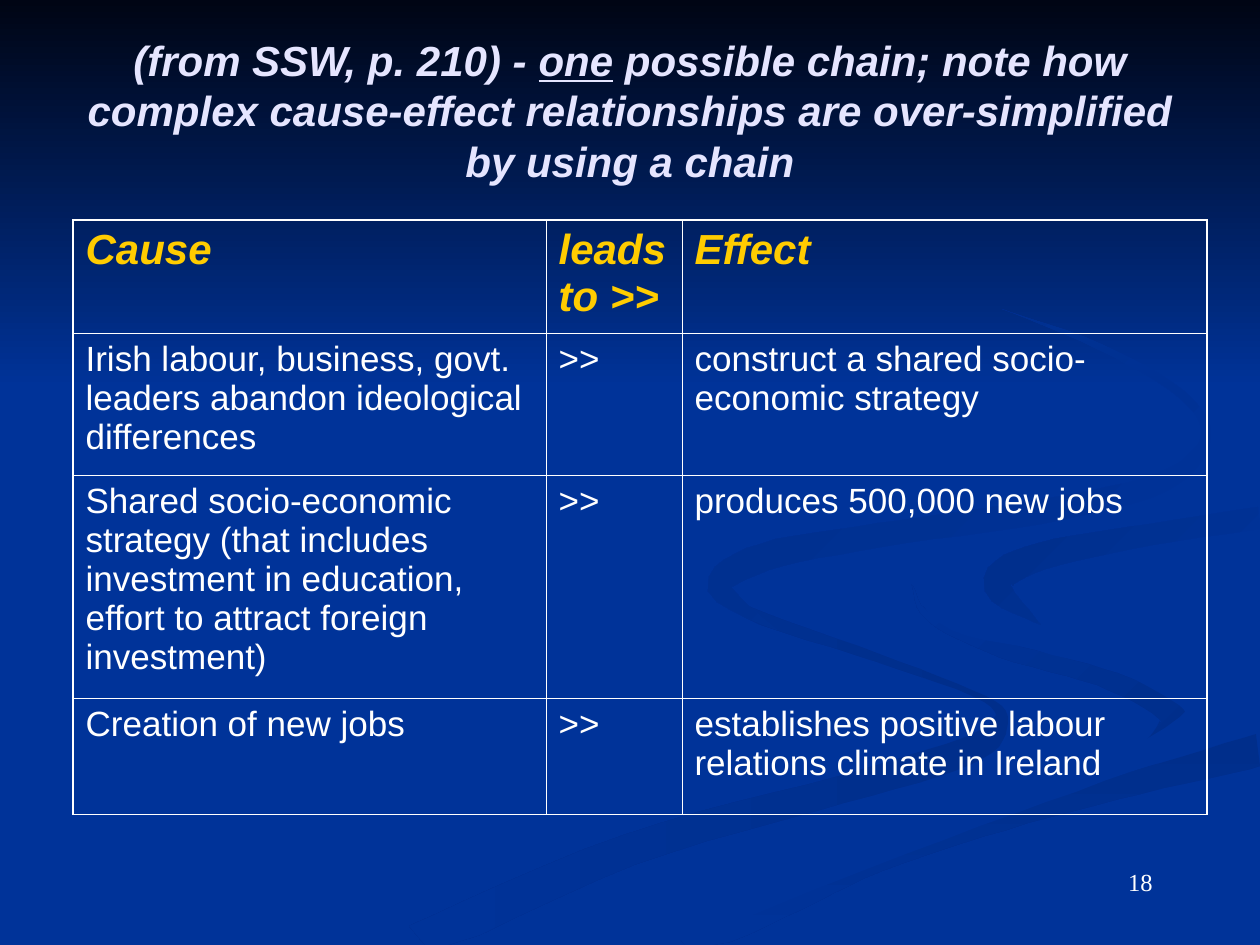
"""Build a slide with a cause and effect table on a dark blue swirl background."""
import math
import pptx
import pptx.util
import pptx.dml.color
import pptx.enum.text
import pptx.oxml
import pptx.oxml.ns

PX = 914400 / 126
SLIDE_W, SLIDE_H = 1260, 945
NAVY, BLUE, SHADE, WHITE = "000514", "003399", "002E8B", "FFFFFF"
LILAC, GOLD = "E5E5FF", "FFCC00"
THICK, THIN = 1.08, 0.45
SPLINE_STEPS = 6

TITLE = [
    ("(from SSW, p. 210) - ", False),
    ("one", True),
    (" possible chain; note how complex cause-effect relationships "
     "are over-simplified by using a chain", False),
]
PAGE_NUMBER = [("18", False)]
ROWS = [
    ("Cause", "leads to >>", "Effect"),
    ("Irish labour, business, govt. leaders abandon ideological differences", ">>",
     "construct a shared socio-economic strategy"),
    ("Shared socio-economic strategy (that includes investment in education, "
     "effort to attract foreign investment)", ">>", "produces 500,000 new jobs"),
    ("Creation of new jobs", ">>", "establishes positive labour relations climate in Ireland"),
]
COL_WIDTHS = (473, 136, 525)
ROW_HEIGHTS = (113, 142, 223, 116)

TOP_BAND = [(0, 0), (0, 388), (SLIDE_W, 388), (SLIDE_W, 0)]
STRANDS = [
    {"name": "lower tail", "colors": (SHADE, BLUE), "angle": 180,
     "nodes": [(724, 578, 0), (747, 612, 6), (878, 658, 4), (985, 699, 3), (999, 725, 9),
               (965, 752, 14), (840, 790, 14), (629, 850, 16), (417, 944, 20)]},
    {"name": "inner curl", "colors": (SHADE, BLUE), "angle": 135,
     "nodes": [(912, 585, 0), (930, 618, 4), (1004, 650, 8), (1100, 677, 9),
               (1165, 708, 12), (1170, 732, 14), (1126, 762, 0)]},
    {"name": "right tail", "colors": (SHADE, BLUE), "angle": 270,
     "nodes": [(1260, 750, 17), (1138, 782, 12), (1003, 817, 13), (877, 857, 15),
               (780, 900, 18), (677, 944, 20)]},
    {"name": "ribbon", "colors": (BLUE, BLUE), "angle": 0,
     "nodes": [(1260, 498, 10), (1072, 528, 10), (960, 560, 26), (958, 600, 30),
               (1040, 638, 13), (1139, 667, 13), (1210, 715, 22), (1100, 772, 10),
               (900, 838, 17), (627, 944, 20)]},
    {"name": "right curl", "colors": (BLUE, SHADE), "angle": 135,
     "nodes": [(1260, 518, 11), (1130, 538, 11), (1030, 560, 14), (998, 587, 14),
               (1041, 625, 0)]},
    {"name": "upper curl", "colors": (BLUE, SHADE), "angle": 135,
     "nodes": [(1002, 309, 0), (1100, 347, 3), (1180, 393, 4), (1206, 437, 5),
               (1163, 482, 10), (1040, 512, 12), (880, 535, 12), (765, 557, 14),
               (720, 588, 12), (777, 630, 0)]},
]


def px(n):
    return pptx.util.Emu(round(n * PX))


def rgb(value):
    return pptx.dml.color.RGBColor.from_string(value)


def smooth(nodes):
    """Return a Catmull-Rom curve through the (x, y, half width) nodes."""
    padded = [nodes[0], *nodes, nodes[-1]]
    curve = []
    for quad in zip(padded, padded[1:], padded[2:], padded[3:]):
        for step in range(SPLINE_STEPS):
            t = step / SPLINE_STEPS
            curve.append(tuple(
                b + t / 2 * (c - a + t * (2 * a - 5 * b + 4 * c - d
                                          + t * (3 * b - a - 3 * c + d)))
                for a, b, c, d in zip(*quad)))
    return curve + [nodes[-1]]


def strand_outline(nodes):
    """Widen a smooth centre line to both sides, kept within the slide."""
    curve = smooth(nodes)
    left, right = [], []
    for i, (x, y, half) in enumerate(curve):
        before, after = curve[max(i - 1, 0)], curve[min(i + 1, len(curve) - 1)]
        dx, dy = after[0] - before[0], after[1] - before[1]
        length = math.hypot(dx, dy)
        for edge, offset in ((left, half), (right, -half)):
            edge_x, edge_y = x - offset * dy / length, y + offset * dx / length
            edge.append((round(min(max(edge_x, 0), SLIDE_W)),
                         round(min(max(edge_y, 0), SLIDE_H))))
    return left + right[::-1]


def add_outline(s, points, colors, angle):
    builder = s.shapes.build_freeform(*points[0], scale=PX)
    builder.add_line_segments(points[1:], close=True)
    sp = builder.convert_to_shape()
    sp.shadow.inherit = False
    sp.line.fill.background()
    sp.fill.gradient()
    sp.fill.gradient_angle = angle
    for stop, color in zip(sp.fill.gradient_stops, colors):
        stop.color.rgb = rgb(color)


def add_backdrop(s):
    s.background.fill.solid()
    s.background.fill.fore_color.rgb = rgb(BLUE)
    add_outline(s, TOP_BAND, (NAVY, BLUE), 270)
    for strand in STRANDS:
        add_outline(s, strand_outline(strand["nodes"]), strand["colors"], strand["angle"])


def style(p, size, color, name="Arial", heading=False):
    p.font.size = pptx.util.Pt(size)
    p.font.name = name
    p.font.color.rgb = rgb(color)
    p.font.bold = p.font.italic = heading


def add_text(s, box, runs, align, anchor):
    tf = s.shapes.add_textbox(*map(px, box)).text_frame
    tf.word_wrap = True
    tf.vertical_anchor = anchor
    p = tf.paragraphs[0]
    p.alignment = align
    for text, underline in runs:
        r = p.add_run()
        r.text = text
        if underline:
            r.font.underline = True
    return p


def set_borders(cell, widths):
    tc_pr = cell._tc.get_or_add_tcPr()
    for i, (side, width) in enumerate(zip("LRTB", widths)):
        tc_pr.insert(i, pptx.oxml.parse_xml(
            f'<a:ln{side} {pptx.oxml.ns.nsdecls("a")} w="{pptx.util.Pt(width)}">'
            f'<a:solidFill><a:srgbClr val="{WHITE}"/></a:solidFill></a:ln{side}>'))


def add_chain_table(s):
    n_rows, n_cols = len(ROWS), len(COL_WIDTHS)
    box = (73, 220, sum(COL_WIDTHS), sum(ROW_HEIGHTS))
    table = s.shapes.add_table(n_rows, n_cols, *map(px, box)).table
    table.first_row = table.horz_banding = False
    for column, width in zip(table.columns, COL_WIDTHS):
        column.width = px(width)
    for i, (row, height) in enumerate(zip(table.rows, ROW_HEIGHTS)):
        row.height = px(height)
        size, color = (24, GOLD) if i == 0 else (20, WHITE)
        for j, cell in enumerate(row.cells):
            cell.text = ROWS[i][j]
            cell.fill.background()
            outer = (j == 0, j == n_cols - 1, i == 0, i == n_rows - 1)
            set_borders(cell, [THICK if edge else THIN for edge in outer])
            style(cell.text_frame.paragraphs[0], size, color, heading=i == 0)


def main():
    prs = pptx.Presentation()
    prs.slide_width, prs.slide_height = px(SLIDE_W), px(SLIDE_H)
    s = prs.slides.add_slide(prs.slide_layouts[6])
    add_backdrop(s)
    align, anchor = pptx.enum.text.PP_ALIGN, pptx.enum.text.MSO_ANCHOR
    p = add_text(s, (903, 861, 262, 63), PAGE_NUMBER, align.RIGHT, anchor.TOP)
    style(p, 14, WHITE, "Times New Roman")
    p = add_text(s, (63, 31, 1134, 158), TITLE, align.CENTER, anchor.MIDDLE)
    style(p, 24, LILAC, heading=True)
    add_chain_table(s)
    prs.save("out.pptx")


if __name__ == "__main__":
    main()
